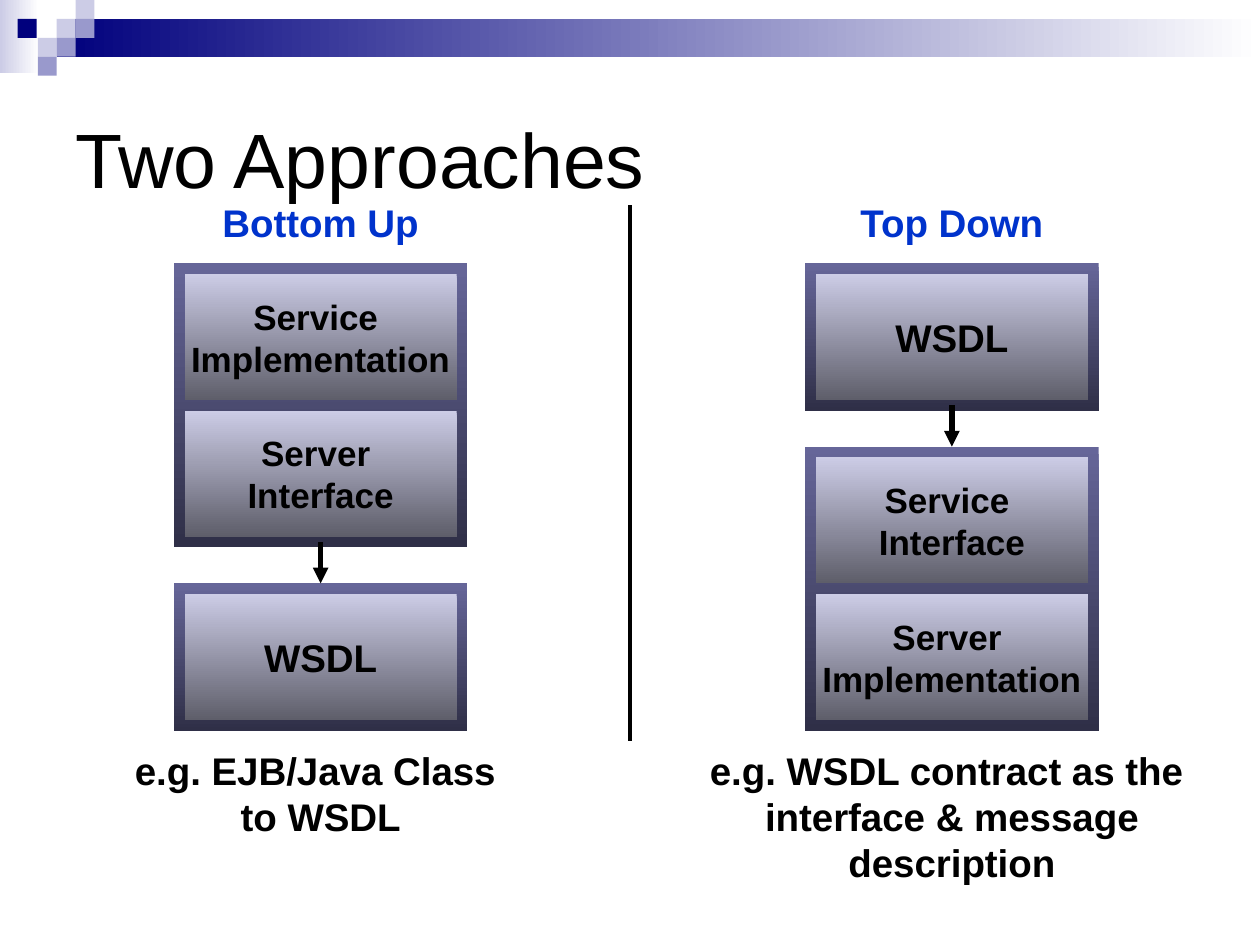
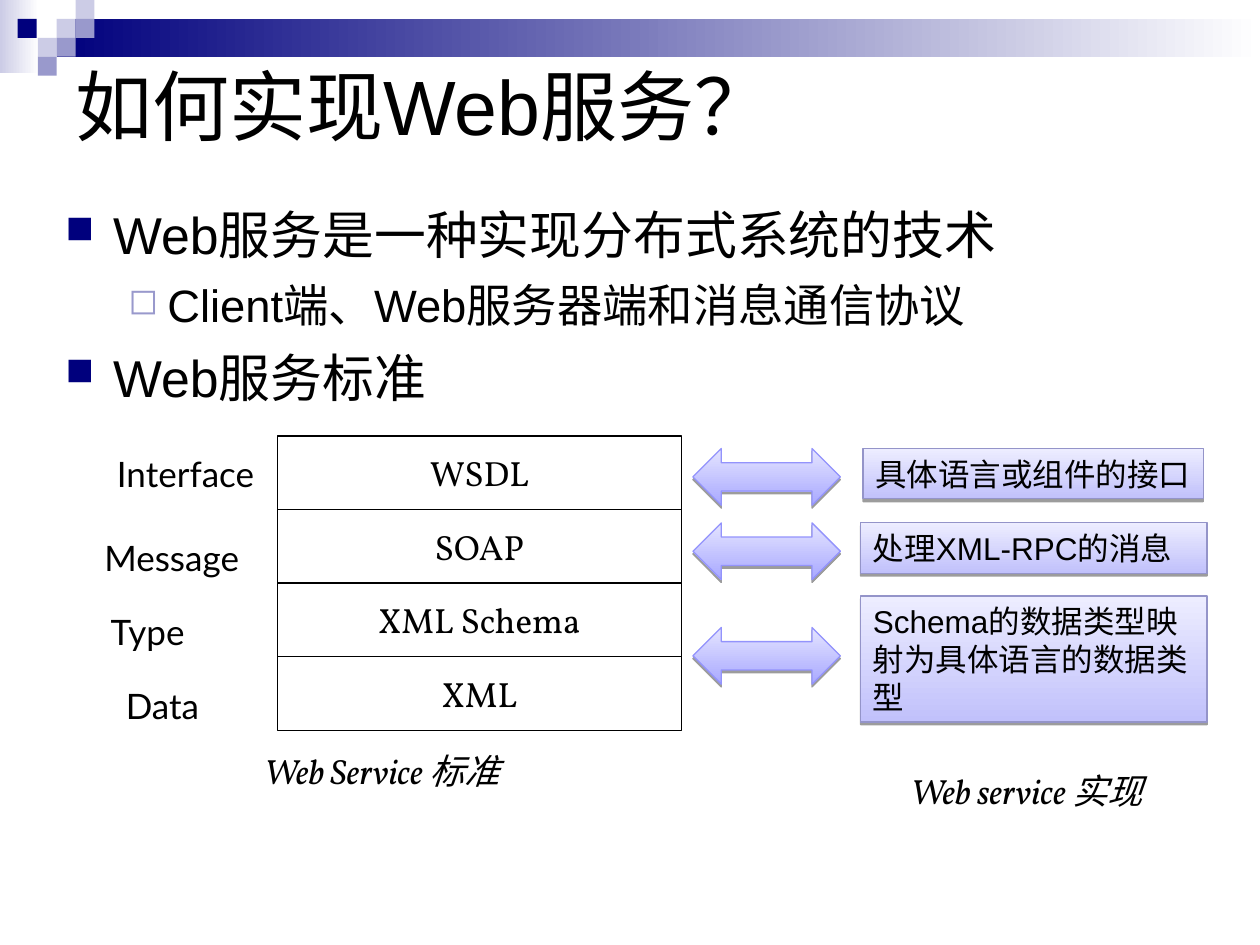
from dataclasses import dataclass
from typing import NamedTuple, Optional

from lxml.etree import SubElement
from pptx import Presentation
from pptx.dml.color import RGBColor as RGB
from pptx.enum.shapes import MSO_CONNECTOR as LINE, MSO_SHAPE as SHAPE
from pptx.enum.text import MSO_ANCHOR as ANCHOR, PP_ALIGN as ALIGN
from pptx.oxml.ns import qn
from pptx.util import Inches, Pt

# Grid: 100 columns by 75 rows
SLIDE_W, SLIDE_H = Inches(10), Inches(7.5)
COLS, ROWS = 100, 75


class Area(NamedTuple):
    """Left, top, width and height in columns and rows."""
    x: float
    y: float
    w: float
    h: float


class Gradient(NamedTuple):
    first: str
    last: str
    down: bool = True


@dataclass(frozen=True)
class Theme:
    navy: str = "00007D"
    lilac: str = "9999CC"
    pale: str = "CCCCE6"
    white: str = "FFFFFF"
    black: str = "000000"
    heading_blue: str = "0033CC"
    arrow_edge: str = "9393FC"
    note_edge: str = "9494C9"
    frame: Gradient = Gradient("666699", "2F2F47")
    block: Gradient = Gradient("CCCCE6", "5E5E6A")
    arrow: Gradient = Gradient("E4E4FF", "A9A9FF")
    note: Gradient = Gradient("EDEDFF", "C1C1FB")
    sans: str = "Arial"
    label: str = "Lato"
    serif: str = "Vollkorn"
    title_size: float = 44
    body_size: float = 29.6
    sub_size: float = 25.9
    head_size: float = 22
    text_size: float = 20
    note_size: float = 18


T = Theme()


def fmt(size: float, name: str = T.sans, **more) -> dict:
    return {"size": Pt(size), "name": name, **more}


TITLE = fmt(T.title_size)
STRONG = fmt(T.head_size, bold=True)
BLOCK = fmt(T.text_size, bold=True)
LABEL = fmt(T.text_size, T.label)
LAYER = fmt(T.text_size, T.serif)
CAPTION = fmt(T.text_size, T.serif, italic=True)
NOTE = fmt(T.note_size)


class Approach(NamedTuple):
    heading: str
    x: float
    stacks: list
    caption: str


class Layer(NamedTuple):
    name: str
    label: str
    label_x: float
    label_y: float


class Mapping(NamedTuple):
    text: str
    area: Area
    arrow_y: float


class Bullet(NamedTuple):
    text: str
    level: int = 0


class BulletStyle(NamedTuple):
    size: float
    char: str
    color: str
    percent: int
    margin: float
    hanging: float
    before: float


# Drawing helpers
def cx(cols: float) -> int:
    return round(SLIDE_W * cols / COLS)


def cy(rows: float) -> int:
    return round(SLIDE_H * rows / ROWS)


def place(a: Area) -> tuple:
    return cx(a.x), cy(a.y), cx(a.w), cy(a.h)


def style_runs(p, form: dict, color: str = T.black) -> None:
    for r in p.runs:
        for key, value in form.items():
            setattr(r.font, key, value)
        r.font.color.rgb = RGB.from_string(color)


def write(sp, text: str, form: dict, color: str = T.black, align=ALIGN.LEFT,
          anchor=ANCHOR.TOP, wrap: bool = False) -> None:
    tf = sp.text_frame
    tf.word_wrap, tf.vertical_anchor = wrap, anchor
    tf.text = text
    for p in tf.paragraphs:
        p.alignment = align
        style_runs(p, form, color)


def add_text(s, area: Area, text: str, form: dict, **layout) -> None:
    write(s.shapes.add_textbox(*place(area)), text, form, **layout)


def add_box(s, area: Area, fill=None, edge: Optional[str] = None,
            kind=SHAPE.RECTANGLE, shadow: bool = False):
    sp = s.shapes.add_shape(kind, *place(area))
    sp.shadow.inherit = False
    if fill is None:
        sp.fill.background()
    elif isinstance(fill, Gradient):
        sp.fill.gradient()
        sp.fill.gradient_angle = 270 if fill.down else 0
        for stop, color in zip(sp.fill.gradient_stops, fill[:2]):
            stop.color.rgb = RGB.from_string(color)
    else:
        sp.fill.solid()
        sp.fill.fore_color.rgb = RGB.from_string(fill)
    if edge:
        sp.line.color.rgb = RGB.from_string(edge)
        sp.line.width = Pt(0.75)
    else:
        sp.line.fill.background()
    if shadow:
        effects = sp._element.spPr.find(qn("a:effectLst"))
        outer = SubElement(effects, qn("a:outerShdw"), blurRad="0", dist=str(Pt(1.6)),
                           dir="5400000", rotWithShape="0")
        tint = SubElement(outer, qn("a:srgbClr"), val=T.black)
        SubElement(tint, qn("a:alpha"), val="38000")
    return sp


def add_line(s, x: float, top: float, bottom: float, width: float, target=None) -> None:
    ln = s.shapes.add_connector(LINE.STRAIGHT, cx(x), cy(top), cx(x), cy(bottom))
    ln.line.color.rgb = RGB.from_string(T.black)
    ln.line.width = Pt(width)
    if target is not None:
        ln.end_connect(target, 0)
        SubElement(ln.line._get_or_add_ln(), qn("a:tailEnd"), type="triangle")
    SubElement(ln._element.spPr, qn("a:effectLst"))


# Shared band, corner squares and title
SQUARE = 1.5
CORNER = [(4.5, 1.5, T.pale), (6, 0, T.pale), (6, 1.5, T.lilac), (3, 3, T.pale),
          (1.4, 1.5, T.navy), (4.5, 3, T.lilac), (3, 4.5, T.lilac)]


def start_slide(prs, title: str, title_h: float):
    s = prs.slides.add_slide(prs.slide_layouts[6])
    add_box(s, Area(0, 0, 3.1, 5.8), Gradient(T.pale, T.white, False))
    add_box(s, Area(4.5, 1.5, 95.5, 3), Gradient(T.navy, T.white, False))
    for x, y, color in CORNER:
        add_box(s, Area(x, y, SQUARE, SQUARE), color)
    add_text(s, Area(5, 5, 90, title_h), title, TITLE, anchor=ANCHOR.MIDDLE, wrap=True)
    return s


# Slide 1: two approaches side by side
FRAME_W, BLOCK_H, BORDER = 23.3, 10, 0.85
STACK_TOP, STACK_GAP, CAPTION_W = 20.9, 2.85, 48.9
WSDL = ["WSDL"]
APPROACHES = [
    Approach("Bottom Up", 13.8,
             [["Service \vImplementation", "Server \vInterface"], WSDL],
             "e.g. EJB/Java Class \vto WSDL"),
    Approach("Top Down", 63.9,
             [WSDL, ["Service \vInterface", "Server \vImplementation"]],
             "e.g. WSDL contract as the \vinterface & message description"),
]


def add_stack(s, x: float, y: float, blocks: list) -> tuple:
    """Draw framed blocks; return the frame and its bottom row."""
    pitch = BLOCK_H + BORDER
    height = BORDER + pitch * len(blocks)
    frame = add_box(s, Area(x, y, FRAME_W, height), T.frame)
    for i, text in enumerate(blocks):
        area = Area(x + BORDER, y + BORDER + i * pitch, FRAME_W - 2 * BORDER, BLOCK_H)
        write(add_box(s, area, T.block), text, STRONG if blocks is WSDL else BLOCK,
              align=ALIGN.CENTER, anchor=ANCHOR.MIDDLE)
    return frame, y + height


def add_approach(s, a: Approach) -> None:
    middle = a.x + FRAME_W / 2
    add_text(s, Area(a.x, 15.3, FRAME_W, 4.7), a.heading, STRONG,
             color=T.heading_blue, align=ALIGN.CENTER)
    upper, lower = a.stacks
    _, bottom = add_stack(s, a.x, STACK_TOP, upper)
    target, _ = add_stack(s, a.x, bottom + STACK_GAP, lower)
    add_line(s, middle, bottom - BORDER / 2, bottom + STACK_GAP, 3, target)
    add_text(s, Area(middle - CAPTION_W / 2, 58.8, CAPTION_W, 8.4), a.caption, STRONG,
             align=ALIGN.CENTER)


def build_approaches(prs) -> None:
    s = start_slide(prs, "Two Approaches", 15)
    add_line(s, 50, 16.3, 58.8, 2)
    for a in APPROACHES:
        add_approach(s, a)


# Slide 2: bullets above the standards and their implementation
BULLET_STYLES = [BulletStyle(T.body_size, "■", T.navy, 75, 0.38, 0.38, 8),
                 BulletStyle(T.sub_size, "◻", T.lilac, 80, 0.81, 0.31, 7)]
BULLETS = [Bullet("Web服务是一种实现分布式系统的技术"),
           Bullet("Client端、Web服务器端和消息通信协议", 1),
           Bullet("Web服务标准")]
LAYER_TOP, LAYER_H = 34.6, 5.84
LAYERS = [Layer("WSDL", "Interface", 8.3, 35.4), Layer("SOAP", "Message", 7.3, 42.1),
          Layer("XML Schema", "Type", 7.8, 48), Layer("XML", "Data", 9, 53.8)]
MAPPINGS = [
    Mapping("具体语言或组件的接口", Area(68.5, 35.6, 27, 4), 35.6),
    Mapping("处理XML-RPC的消息", Area(68.3, 41.5, 27.5, 4), 41.5),
    Mapping("Schema的数据类型映射为具体语言的数据类型", Area(68.3, 47.3, 27.5, 10), 49.8),
]


def add_bullets(s, area: Area) -> None:
    tf = s.shapes.add_textbox(*place(area)).text_frame
    tf.word_wrap = True
    for i, b in enumerate(BULLETS):
        st = BULLET_STYLES[b.level]
        p = tf.add_paragraph() if i else tf.paragraphs[0]
        p.level = b.level
        pr = p._p.get_or_add_pPr()
        pr.set("marL", str(Inches(st.margin)))
        pr.set("indent", str(-Inches(st.hanging)))
        SubElement(SubElement(pr, qn("a:buClr")), qn("a:srgbClr"), val=st.color)
        SubElement(pr, qn("a:buSzPct"), val=str(st.percent * 1000))
        SubElement(pr, qn("a:buChar"), char=st.char)
        if i:
            p.space_before = Pt(st.before)
        p.add_run().text = b.text
        style_runs(p, fmt(st.size))


def build_standards(prs) -> None:
    s = start_slide(prs, "如何实现Web服务？", 6.7)
    add_bullets(s, Area(4.2, 15.6, 90, 17.5))
    for i, layer in enumerate(LAYERS):
        add_text(s, Area(layer.label_x, layer.label_y, 13.6, 4.3), layer.label, LABEL, wrap=True)
        sp = add_box(s, Area(22, LAYER_TOP + i * LAYER_H, 32.1, LAYER_H), edge=T.black)
        write(sp, layer.name, LAYER, align=ALIGN.CENTER, anchor=ANCHOR.MIDDLE)
    for m in MAPPINGS:
        add_box(s, Area(55, m.arrow_y, 11.7, 4.5), T.arrow, T.arrow_edge,
                SHAPE.LEFT_RIGHT_ARROW, shadow=True)
        write(add_box(s, m.area, T.note, T.note_edge, shadow=True), m.text, NOTE, wrap=True)
    add_text(s, Area(20, 59, 36.1, 4.3), "Web Service 标准", CAPTION, wrap=True)
    add_text(s, Area(71.3, 60.6, 24.5, 4.4), "Web service 实现", CAPTION, wrap=True)


def main() -> None:
    prs = Presentation()
    prs.slide_width, prs.slide_height = SLIDE_W, SLIDE_H
    build_approaches(prs)
    build_standards(prs)
    prs.save("out.pptx")


if __name__ == "__main__":
    main()
